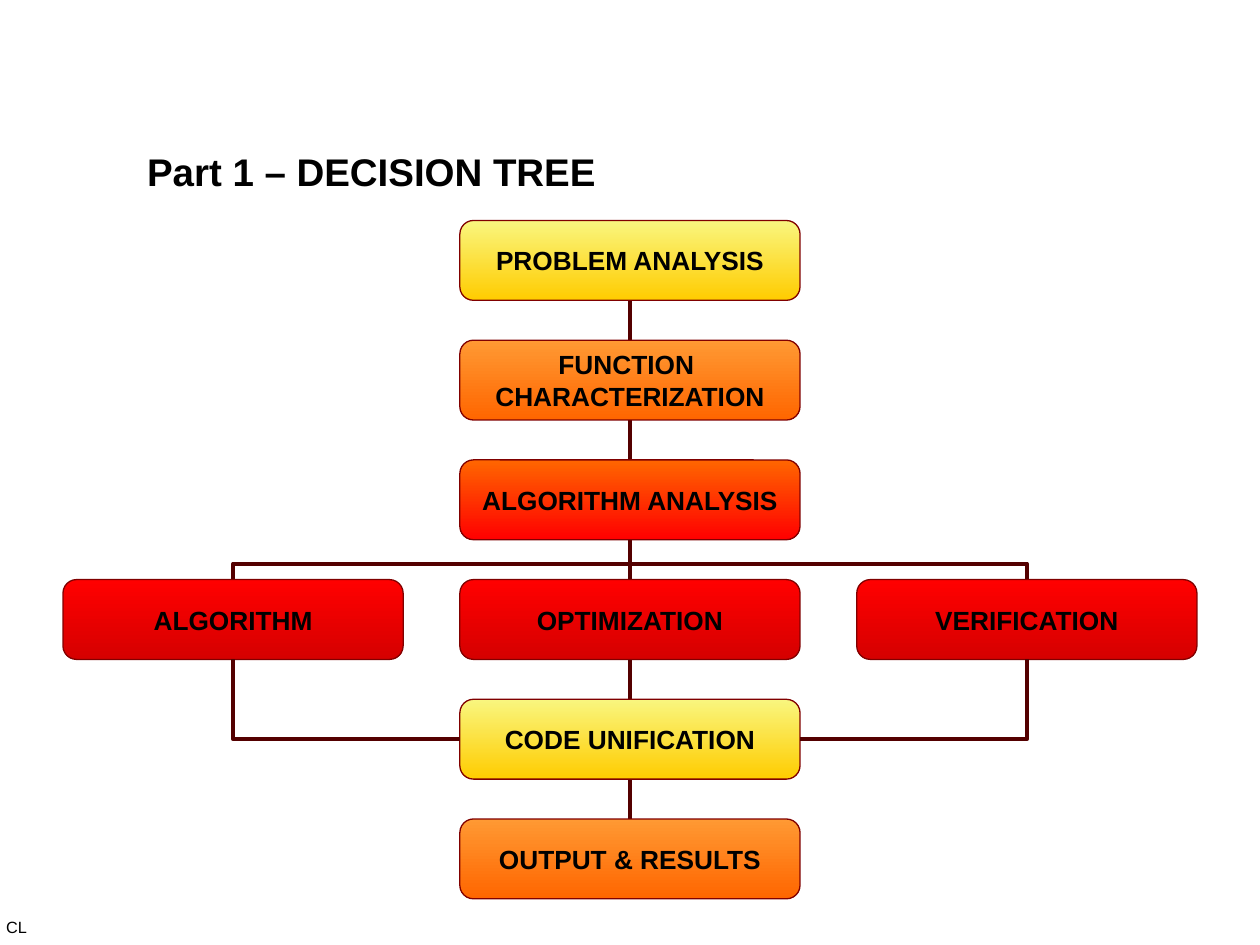
from dataclasses import dataclass

from pptx import Presentation
from pptx.dml.color import RGBColor
from pptx.enum.shapes import MSO_CONNECTOR, MSO_SHAPE
from pptx.enum.text import MSO_ANCHOR, PP_ALIGN
from pptx.oxml.ns import qn
from pptx.util import Pt


@dataclass(frozen=True)
class Theme:
    font: str = "Arial"
    text: str = "000000"
    border: str = "800000"
    link: str = "540000"
    yellow: tuple[str, str] = ("F9F67F", "FFCC00")
    orange: tuple[str, str] = ("FF9933", "FF6600")
    flame: tuple[str, str] = ("FF6600", "FF0000")
    red: tuple[str, str] = ("FF0000", "D60000")
    title_size: float = 22
    box_size: float = 15
    mark_size: float = 16
    border_width: float = 0.75
    link_width: float = 2.25


@dataclass(frozen=True)
class Box:
    col: int
    row: int
    lines: tuple[str, ...]
    gradient: tuple[str, str]

    @property
    def left(self) -> float:
        return LEFT + self.col * COL_STEP

    @property
    def top(self) -> float:
        return TOP + self.row * ROW_STEP

    @property
    def center(self) -> float:
        return self.left + BOX_W / 2

    @property
    def middle(self) -> float:
        return self.top + BOX_H / 2

    @property
    def bottom(self) -> float:
        return self.top + BOX_H


THEME = Theme()

# Grid, in points
LEFT, TOP = 36, 126
COL_STEP, ROW_STEP = 226.8, 68.4
BOX_W, BOX_H = 194.4, 45.6

# Boxes of the tree
PROBLEM = Box(1, 0, ("PROBLEM ANALYSIS",), THEME.yellow)
FUNCTION = Box(1, 1, ("FUNCTION ", "CHARACTERIZATION"), THEME.orange)
ANALYSIS = Box(1, 2, ("ALGORITHM ANALYSIS",), THEME.flame)
ALGORITHM = Box(0, 3, ("ALGORITHM",), THEME.red)
OPTIMIZATION = Box(1, 3, ("OPTIMIZATION",), THEME.red)
VERIFICATION = Box(2, 3, ("VERIFICATION",), THEME.red)
UNIFICATION = Box(1, 4, ("CODE UNIFICATION",), THEME.yellow)
OUTPUT = Box(1, 5, ("OUTPUT & RESULTS",), THEME.orange)

TRUNK = (PROBLEM, FUNCTION, ANALYSIS, OPTIMIZATION, UNIFICATION, OUTPUT)
SIDES = (ALGORITHM, VERIFICATION)


def write(tf, lines: tuple[str, ...], size: float, bold: bool = True,
          align: PP_ALIGN = PP_ALIGN.LEFT) -> None:
    for i, line in enumerate(lines):
        p = tf.paragraphs[0] if i == 0 else tf.add_paragraph()
        p.add_run().text = line
        p.alignment = align
        p.font.name = THEME.font
        p.font.size = Pt(size)
        p.font.bold = bold
        p.font.color.rgb = RGBColor.from_string(THEME.text)


def add_box(s, box: Box) -> None:
    sp = s.shapes.add_shape(MSO_SHAPE.ROUNDED_RECTANGLE, Pt(box.left),
                            Pt(box.top), Pt(BOX_W), Pt(BOX_H))
    sp.shadow.inherit = False
    sp.adjustments[0] = 0.17
    sp.fill.gradient()
    sp.fill.gradient_angle = 270
    for stop, color in zip(sp.fill.gradient_stops, box.gradient):
        stop.color.rgb = RGBColor.from_string(color)
    sp.line.color.rgb = RGBColor.from_string(THEME.border)
    sp.line.width = Pt(THEME.border_width)
    tf = sp.text_frame
    tf.word_wrap = False
    tf.vertical_anchor = MSO_ANCHOR.MIDDLE
    tf.margin_left = tf.margin_right = tf.margin_top = tf.margin_bottom = 0
    write(tf, box.lines, THEME.box_size, align=PP_ALIGN.CENTER)


def add_link(s, kind: MSO_CONNECTOR, x1: float, y1: float,
             x2: float, y2: float):
    cxn = s.shapes.add_connector(kind, Pt(x1), Pt(y1), Pt(x2), Pt(y2))
    cxn.line.color.rgb = RGBColor.from_string(THEME.link)
    cxn.line.width = Pt(THEME.link_width)
    sp_pr = cxn._element.spPr
    sp_pr.append(sp_pr.makeelement(qn("a:effectLst"), {}))
    return cxn


def add_elbow(s, x1: float, y1: float, x2: float, y2: float,
              bend: float | None = None) -> None:
    """Leave (x1, y1) vertically; a bend adds a second corner at that share."""
    right, down = x2 > x1, y2 > y1
    # The frame is laid on its side, then turned around its centre
    cx, cy = (x1 + x2) / 2, (y1 + y2) / 2
    dx = abs(y2 - y1) / 2 * (-1 if right else 1)
    dy = abs(x2 - x1) / 2 * (1 if down else -1)
    cxn = add_link(s, MSO_CONNECTOR.ELBOW, cx - dx, cy - dy, cx + dx, cy + dy)
    sp_pr = cxn._element.spPr
    turn = 270 if right == down else 90
    sp_pr.find(qn("a:xfrm")).set("rot", str(turn * 60000))
    geom = sp_pr.find(qn("a:prstGeom"))
    if bend is None:
        geom.set("prst", "bentConnector2")
    else:
        guides = geom.get_or_add_avLst()
        guides.append(guides.makeelement(
            qn("a:gd"), {"name": "adj1", "fmla": f"val {bend * 100000:.0f}"}))


def add_text(s, x: float, y: float, w: float, h: float, text: str,
             size: float, bold: bool, wrap: bool, anchor: MSO_ANCHOR):
    tf = s.shapes.add_textbox(Pt(x), Pt(y), Pt(w), Pt(h)).text_frame
    tf.word_wrap = wrap
    tf.vertical_anchor = anchor
    write(tf, (text,), size, bold)
    return tf


def main() -> None:
    prs = Presentation()
    prs.slide_width, prs.slide_height = Pt(720), Pt(540)
    s = prs.slides.add_slide(prs.slide_layouts[6])

    # Title
    add_text(s, 77, 80.6, 546.5, 33.8, "Part 1 – DECISION TREE",
             THEME.title_size, True, True, MSO_ANCHOR.BOTTOM)

    # Links down the trunk and out to the side branches
    for upper, lower in zip(TRUNK, TRUNK[1:]):
        add_link(s, MSO_CONNECTOR.STRAIGHT, lower.center, lower.top,
                 upper.center, upper.bottom)
    for side in SIDES:
        add_elbow(s, side.center, side.top, ANALYSIS.center, ANALYSIS.bottom,
                  bend=0.4)

    # Boxes
    for box in TRUNK + SIDES:
        add_box(s, box)

    # Side branches join again
    for side, edge in zip(SIDES, (UNIFICATION.left, UNIFICATION.left + BOX_W)):
        add_elbow(s, side.center, side.bottom, edge, UNIFICATION.middle)

    # Corner mark, set as subscript
    tf = add_text(s, -3.6, 509.8, 26, 29.5, "CL", THEME.mark_size, False,
                  False, MSO_ANCHOR.TOP)
    tf.paragraphs[0].runs[0]._r.get_or_add_rPr().set("baseline", "-25000")

    prs.save("out.pptx")


if __name__ == "__main__":
    main()
